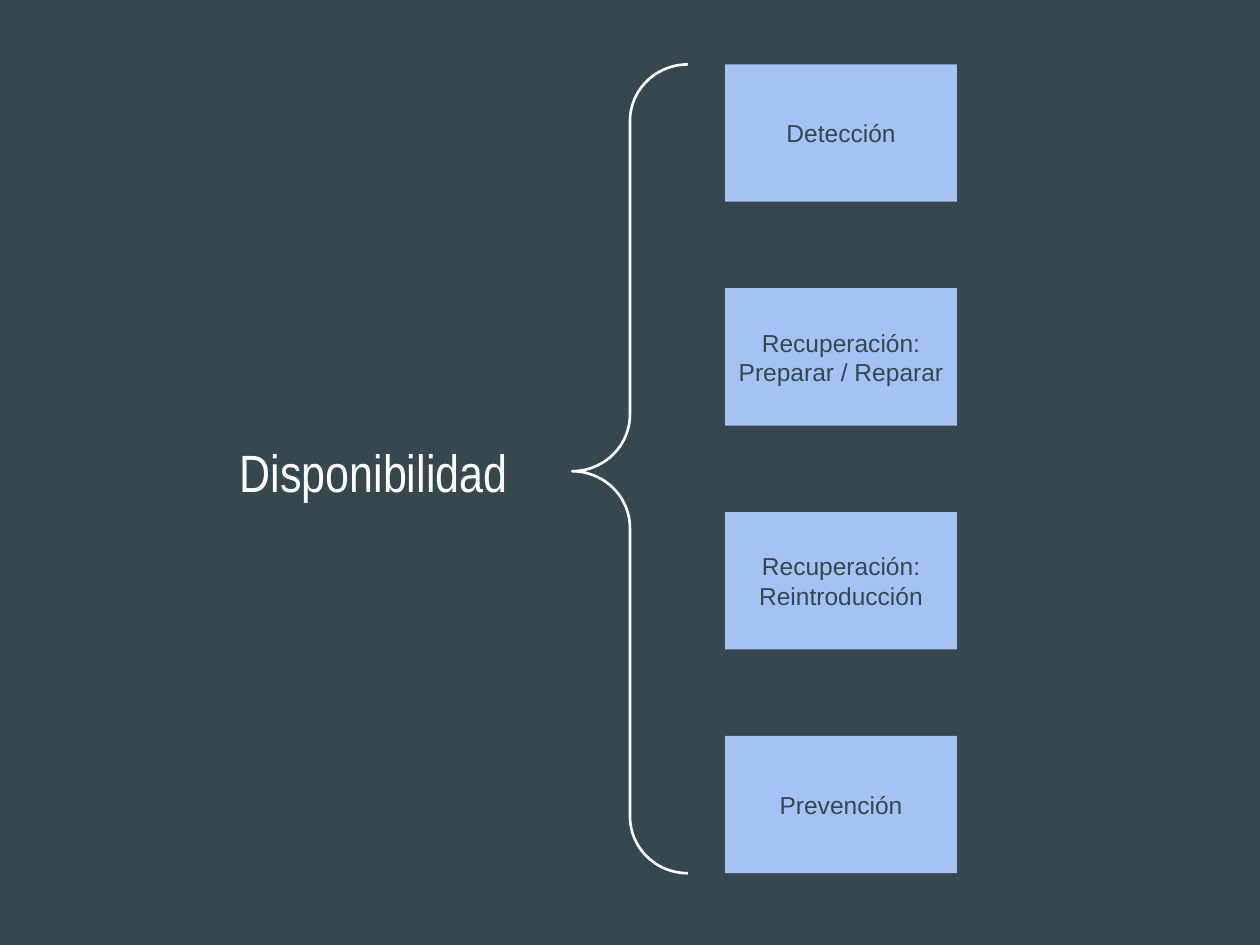
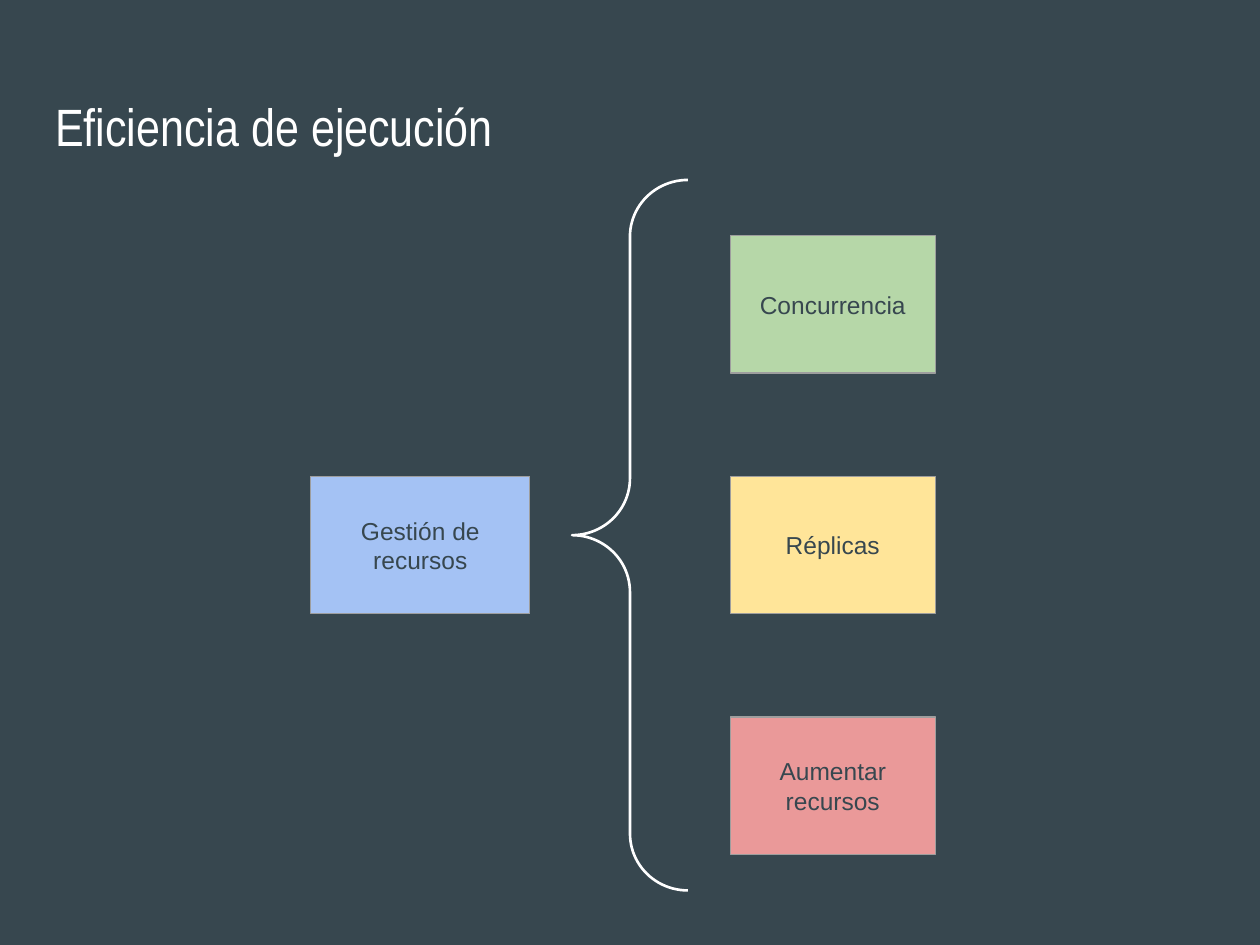
"""Build two slides on tactics for availability and run-time efficiency."""
from dataclasses import dataclass

from pptx import Presentation
from pptx.dml.color import RGBColor
from pptx.enum.shapes import MSO_SHAPE
from pptx.enum.text import MSO_ANCHOR, PP_ALIGN
from pptx.shapes.autoshape import Shape
from pptx.slide import Slide
from pptx.util import Pt

HUES = {
    "back": "37474F",
    "white": "FFFFFF",
    "edge": "9E9E9E",
    "blue": "A4C2F4",
    "green": "B6D7A8",
    "gold": "FFE599",
    "red": "EA9999",
}
INSET = Pt(7.2)
BOX_H = 78.5


@dataclass
class Title:
    text: str
    left: float
    top: float
    width: float
    align: PP_ALIGN = PP_ALIGN.LEFT
    anchor: MSO_ANCHOR = MSO_ANCHOR.TOP


@dataclass
class Box:
    text: str
    fill: str
    left: float
    top: float
    width: float
    edge: bool = False


@dataclass
class Brace:
    top: float
    height: float
    point: float = 0.5


def color(name: str) -> RGBColor:
    return RGBColor.from_string(HUES[name])


def write(shape: Shape, text: str, font: str, size: float, hue: str,
          align: PP_ALIGN, anchor: MSO_ANCHOR) -> None:
    frame = shape.text_frame
    frame.word_wrap = True
    frame.vertical_anchor = anchor
    frame.margin_left = frame.margin_right = INSET
    frame.margin_top = frame.margin_bottom = INSET
    frame.text = text
    for para in frame.paragraphs:
        para.alignment = align
        para.font.name = font
        para.font.size = Pt(size)
        para.font.color.rgb = color(hue)


def draw_title(slide: Slide, title: Title) -> None:
    shape = slide.shapes.add_textbox(
        Pt(title.left), Pt(title.top), Pt(title.width), Pt(59.8))
    write(shape, title.text, "Arial Narrow", 30, "white", title.align, title.anchor)


def draw_box(slide: Slide, box: Box) -> None:
    shape = slide.shapes.add_shape(
        MSO_SHAPE.RECTANGLE, Pt(box.left), Pt(box.top), Pt(box.width), Pt(BOX_H))
    shape.shadow.inherit = False
    shape.fill.solid()
    shape.fill.fore_color.rgb = color(box.fill)
    if box.edge:
        shape.line.color.rgb = color("edge")
        shape.line.width = Pt(0.75)
    else:
        shape.line.fill.background()
    write(shape, box.text, "Arial", 14, "back", PP_ALIGN.CENTER, MSO_ANCHOR.MIDDLE)


def draw_brace(slide: Slide, brace: Brace) -> None:
    shape = slide.shapes.add_shape(
        MSO_SHAPE.LEFT_BRACE, Pt(326.9), Pt(brace.top), Pt(66.2), Pt(brace.height))
    shape.shadow.inherit = False
    shape.adjustments[0] = 0.49
    shape.adjustments[1] = brace.point
    shape.fill.background()
    shape.line.color.rgb = color("white")
    shape.line.width = Pt(1.5)


def add_slide(deck: Presentation, title: Title, boxes: list[Box], brace: Brace) -> None:
    slide = deck.slides.add_slide(deck.slide_layouts[6])
    slide.background.fill.solid()
    slide.background.fill.fore_color.rgb = color("back")
    draw_title(slide, title)
    for box in boxes:
        draw_box(slide, box)
    draw_brace(slide, brace)


def main() -> None:
    deck = Presentation()
    deck.slide_width, deck.slide_height = Pt(720), Pt(540)

    steps = ["Detección", "Recuperación:\nPreparar / Reparar",
             "Recuperación: Reintroducción", "Prevención"]
    top = 36.8
    add_slide(
        deck,
        Title("Disponibilidad", 121.4, 239.8, 184.3, PP_ALIGN.CENTER, MSO_ANCHOR.MIDDLE),
        [Box(text, "blue", 414.4, top + row * 127.9, 132.5)
         for row, text in enumerate(steps)],
        Brace(top, 462.2, 0.503))

    means = [("Concurrencia", "green"), ("Réplicas", "gold"), ("Aumentar recursos", "red")]
    top, pitch = 134.7, 137.5
    source = Box("Gestión de recursos", "blue", 177.6, top + pitch, 125.2, True)
    add_slide(
        deck,
        Title("Eficiencia de ejecución", 24.5, 46.8, 671),
        [source] + [Box(text, fill, 417.3, top + row * pitch, 117.2, True)
                    for row, (text, fill) in enumerate(means)],
        Brace(102.8, 406))

    deck.save("out.pptx")


if __name__ == "__main__":
    main()
